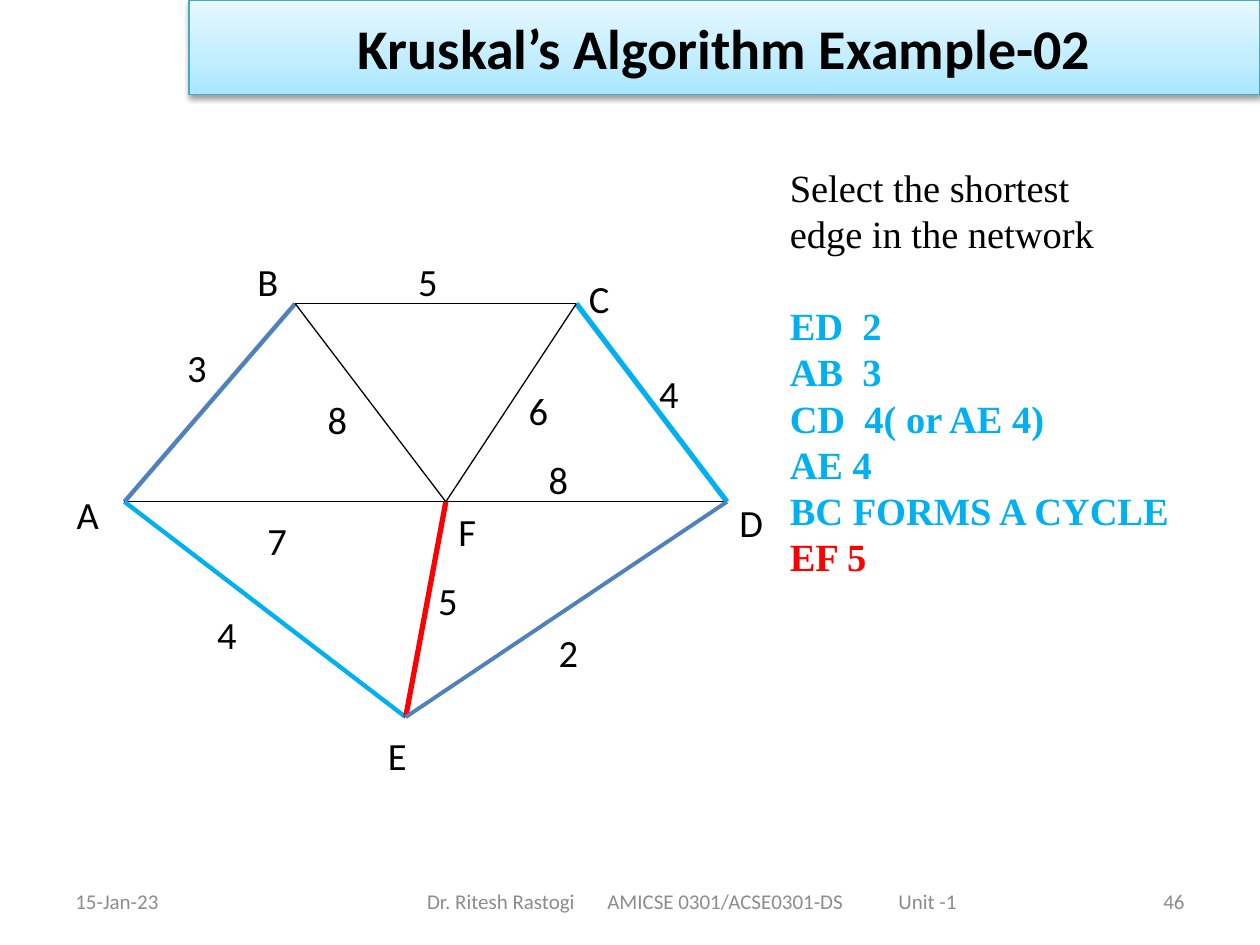
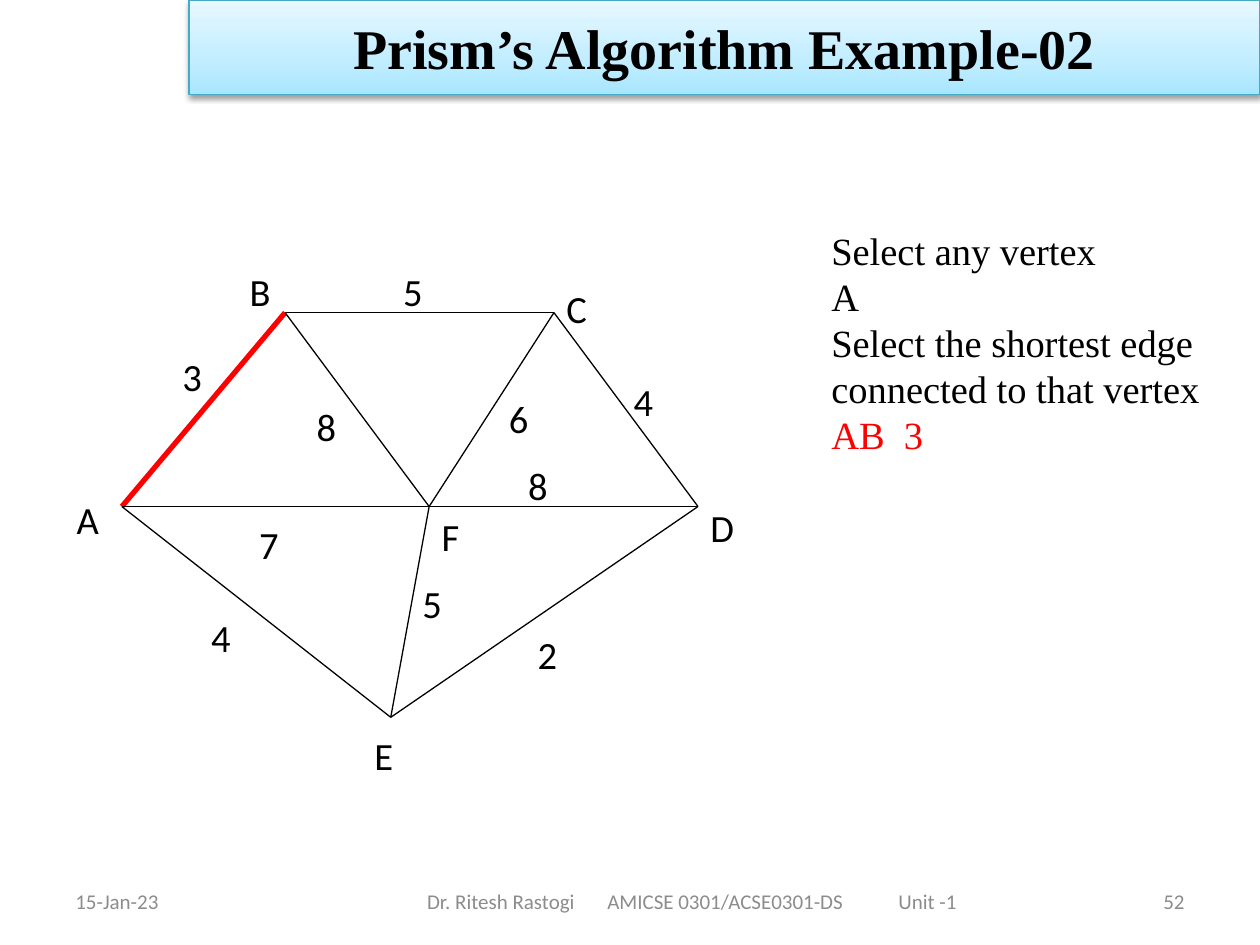
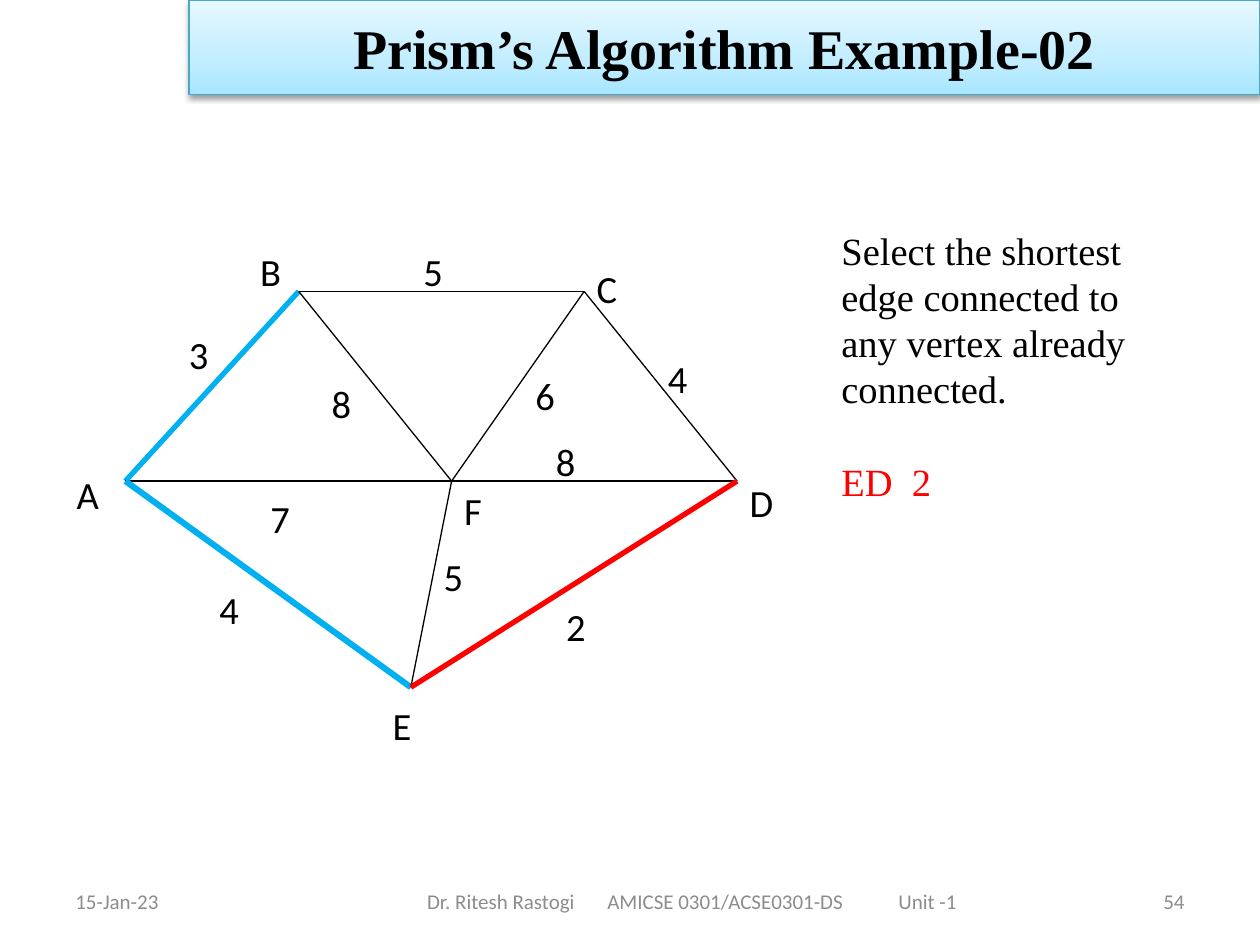
from dataclasses import dataclass, field

from pptx import Presentation
from pptx import oxml
from pptx import util as u
from pptx.dml import color
from pptx.enum import shapes, text
from pptx.oxml import ns


@dataclass(frozen=True)
class Theme:
    black: str = "000000"
    gray: str = "8C8C8C"
    red: str = "FF0000"
    sky: str = "00B0F0"
    steel: str = "4F81BD"
    band_line: str = "46AAC5"
    band_stops: tuple = ((0, "A7E6FF"), (35, "C1EDFF"), (100, "E7F8FF"))
    sans: str = "Calibri"
    serif: str = "Times New Roman"
    title_size: int = 32
    body_size: int = 22
    footer_size: int = 12
    thin: float = 0.75


THEME = Theme()


@dataclass(frozen=True)
class Box:
    left: float
    top: float
    width: float
    height: float

    def lengths(self) -> list:
        return [u.Inches(n) for n in (self.left, self.top, self.width, self.height)]


@dataclass(frozen=True)
class Stroke:
    color: str = THEME.black
    width: float = THEME.thin


@dataclass(frozen=True)
class Label:
    """A letter or weight whose box starts at a grid column and row."""
    words: str
    column: int
    row: int


@dataclass(frozen=True)
class Line:
    words: str
    color: str = THEME.black
    bold: bool = False
    gap: bool = False


@dataclass(frozen=True)
class Step:
    title: str
    title_font: str
    number: int
    graph: Box
    side: Box
    lines: list
    strokes: dict = field(default_factory=dict)


# The graph lies on a grid of 66 columns and 55 rows, stretched on each slide.
COLUMNS, ROWS = 66, 55
LABEL_COLUMNS, LABEL_HEIGHT = 6, 0.47
NODES = {"A": (6, 29), "B": (23, 6), "C": (51, 6),
         "D": (66, 29), "E": (34, 54), "F": (38, 29)}
EDGES = ["AB", "BC", "CD", "AF", "FD", "BF", "FC", "AE", "EF", "ED"]
LABELS = [
    Label("A", 0, 27), Label("F", 38, 29), Label("B", 18, 0),
    Label("C", 51, 2), Label("D", 66, 28), Label("E", 31, 55),
    Label("2", 48, 43), Label("7", 19, 30), Label("4", 14, 41),
    Label("5", 36, 37), Label("8", 25, 16), Label("6", 45, 15),
    Label("4", 58, 13), Label("5", 34, 0), Label("3", 11, 10),
    Label("8", 47, 23),
]

BAND = Box(1.5, 0, 8.5, 0.75)
DATE = Box(0.5, 6.95, 2.33, 0.4)
COURSE = Box(2.75, 6.95, 5.5, 0.4)
PAGE_NUMBER = Box(7.17, 6.95, 2.33, 0.4)
COURSE_INSET = 0.64
COURSE_TABS = (1.43, 3.74)
LINE_GAP = 26.4

KRUSKAL = "Kruskal’s Algorithm Example-02"
PRISM = "Prism’s Algorithm Example-02"

STEPS = [
    Step(KRUSKAL, THEME.sans, 46, Box(0.51, 2, 5.26, 3.76), Box(6.17, 1.25, 3.5, 4.17),
         [Line("Select the shortest"),
          Line("edge in the network"),
          Line("ED  2", THEME.sky, bold=True, gap=True),
          Line("AB  3", THEME.sky, bold=True),
          Line("CD  4( or AE 4)", THEME.sky, bold=True),
          Line("AE 4", THEME.sky, bold=True),
          Line("BC FORMS A CYCLE", THEME.sky, bold=True),
          Line("EF 5", THEME.red, bold=True)],
         {"AB": Stroke(THEME.steel, 2.5), "CD": Stroke(THEME.sky, 3),
          "AE": Stroke(THEME.sky, 2.5), "EF": Stroke(THEME.red, 3),
          "ED": Stroke(THEME.steel, 2.25)}),
    Step(PRISM, THEME.serif, 52, Box(0.51, 2.08, 5.03, 3.68), Box(6.5, 1.75, 3.17, 3.06),
         [Line("Select any vertex"),
          Line("A"),
          Line("Select the shortest edge connected to that vertex"),
          Line("AB  3", THEME.red)],
         {"AB": Stroke(THEME.red, 3)}),
    Step(PRISM, THEME.serif, 54, Box(0.51, 1.92, 5.34, 3.6), Box(6.58, 1.75, 3.08, 3.33),
         [Line("Select the shortest"),
          Line("edge connected to"),
          Line("any vertex already"),
          Line("connected."),
          Line("ED  2", THEME.red, gap=True)],
         {"AB": Stroke(THEME.sky, 3), "AE": Stroke(THEME.sky, 3.5),
          "ED": Stroke(THEME.red, 3)}),
]


def rgb(code: str) -> color.RGBColor:
    return color.RGBColor.from_string(code)


def format_runs(para, font: str, size: float, code: str, bold: bool = False) -> None:
    for span in para.runs:
        span.font.name = font
        span.font.size = u.Pt(size)
        span.font.bold = bold
        span.font.color.rgb = rgb(code)


def add_text(parent, place: Box, words: str, size: float, code: str):
    box = parent.add_textbox(*place.lengths())
    frame = box.text_frame
    frame.word_wrap = True
    frame.text = words
    format_runs(frame.paragraphs[0], THEME.sans, size, code)
    return box


def style_band(title) -> None:
    """Give the title its gradient, outline and soft shadow."""
    stops = "".join(
        f'<a:gs pos="{at * 1000}"><a:srgbClr val="{code}"/></a:gs>'
        for at, code in THEME.band_stops)
    properties = title._element.spPr
    properties.append(oxml.parse_xml(
        f'<a:gradFill {ns.nsdecls("a")} rotWithShape="1"><a:gsLst>{stops}</a:gsLst>'
        '<a:lin ang="16200000" scaled="0"/></a:gradFill>'))
    title.line.color.rgb = rgb(THEME.band_line)
    title.line.width = u.Pt(THEME.thin)
    properties.append(oxml.parse_xml(
        f'<a:effectLst {ns.nsdecls("a")}>'
        '<a:outerShdw blurRad="40000" dist="20000" dir="5400000" rotWithShape="0">'
        f'<a:srgbClr val="{THEME.black}"><a:alpha val="38000"/></a:srgbClr>'
        '</a:outerShdw></a:effectLst>'))


def set_title(page, words: str, font: str) -> None:
    title = page.shapes.title
    title.left, title.top, title.width, title.height = BAND.lengths()
    style_band(title)
    frame = title.text_frame
    frame.text = words
    frame.auto_size = text.MSO_AUTO_SIZE.NONE
    frame.vertical_anchor = text.MSO_ANCHOR.MIDDLE
    frame.paragraphs[0].alignment = text.PP_ALIGN.CENTER
    format_runs(frame.paragraphs[0], font, THEME.title_size, THEME.black, bold=True)


def add_footer(page, number: int) -> None:
    course_words = "Dr. Ritesh Rastogi\tAMICSE 0301/ACSE0301-DS\tUnit -1"
    date, course, page_number = [
        add_text(page.shapes, place, words, THEME.footer_size, THEME.gray)
        for place, words in ((DATE, "15-Jan-23"), (COURSE, course_words),
                             (PAGE_NUMBER, str(number)))]
    for box in (date, course, page_number):
        box.text_frame.vertical_anchor = text.MSO_ANCHOR.MIDDLE
    page_number.text_frame.paragraphs[0].alignment = text.PP_ALIGN.RIGHT
    course.text_frame.margin_left = u.Inches(COURSE_INSET)
    tabs = "".join(f'<a:tab pos="{u.Inches(at)}" algn="l"/>' for at in COURSE_TABS)
    course.text_frame.paragraphs[0]._p.get_or_add_pPr().append(
        oxml.parse_xml(f'<a:tabLst {ns.nsdecls("a")}>{tabs}</a:tabLst>'))


def add_edge(parent, start: tuple, end: tuple, stroke: Stroke) -> None:
    edge = parent.add_connector(
        shapes.MSO_CONNECTOR.STRAIGHT, *[u.Inches(n) for n in (*start, *end)])
    edge.line.color.rgb = rgb(stroke.color)
    edge.line.width = u.Pt(stroke.width)
    edge._element.spPr.append(oxml.parse_xml(f'<a:effectLst {ns.nsdecls("a")}/>'))


def add_graph(page, place: Box, strokes: dict) -> None:
    column_width, row_height = place.width / COLUMNS, place.height / ROWS

    def locate(column: int, row: int) -> tuple:
        return place.left + column * column_width, place.top + row * row_height

    graph = page.shapes.add_group_shape().shapes
    for edge in EDGES:
        start, end = (locate(*NODES[node]) for node in edge)
        add_edge(graph, start, end, strokes.get(edge, Stroke()))
    for label in LABELS:
        label_box = Box(*locate(label.column, label.row),
                        LABEL_COLUMNS * column_width, LABEL_HEIGHT)
        add_text(graph, label_box, label.words, THEME.body_size, THEME.black)


def add_lines(page, place: Box, lines: list) -> None:
    frame = page.shapes.add_textbox(*place.lengths()).text_frame
    frame.word_wrap = True
    for index, line in enumerate(lines):
        para = frame.add_paragraph() if index else frame.paragraphs[0]
        para.text = line.words
        if line.gap:
            para.space_before = u.Pt(LINE_GAP)
        format_runs(para, THEME.serif, THEME.body_size, line.color, line.bold)


def main() -> None:
    deck = Presentation()
    deck.slide_width, deck.slide_height = u.Inches(10), u.Inches(7.5)
    title_only = deck.slide_layouts[5]
    for step in STEPS:
        page = deck.slides.add_slide(title_only)
        set_title(page, step.title, step.title_font)
        add_footer(page, step.number)
        add_graph(page, step.graph, step.strokes)
        add_lines(page, step.side, step.lines)
    deck.save("out.pptx")


if __name__ == "__main__":
    main()
